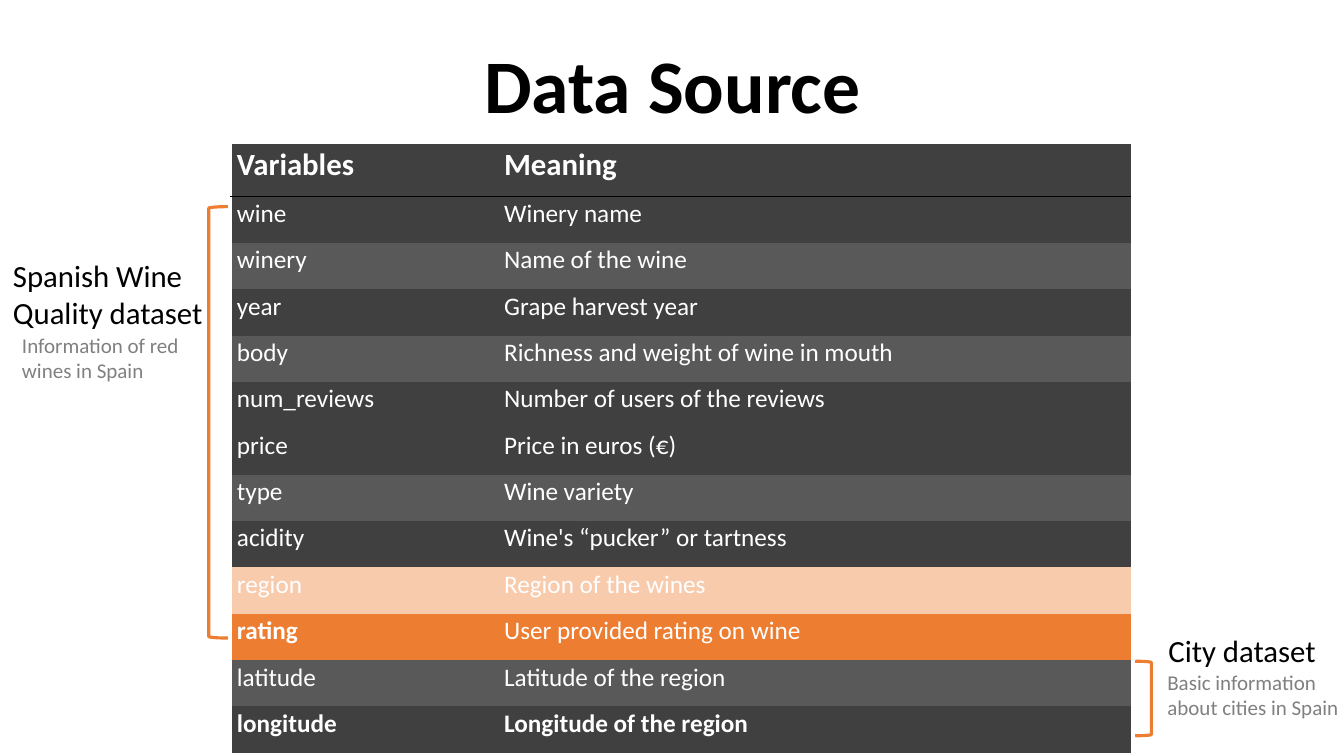
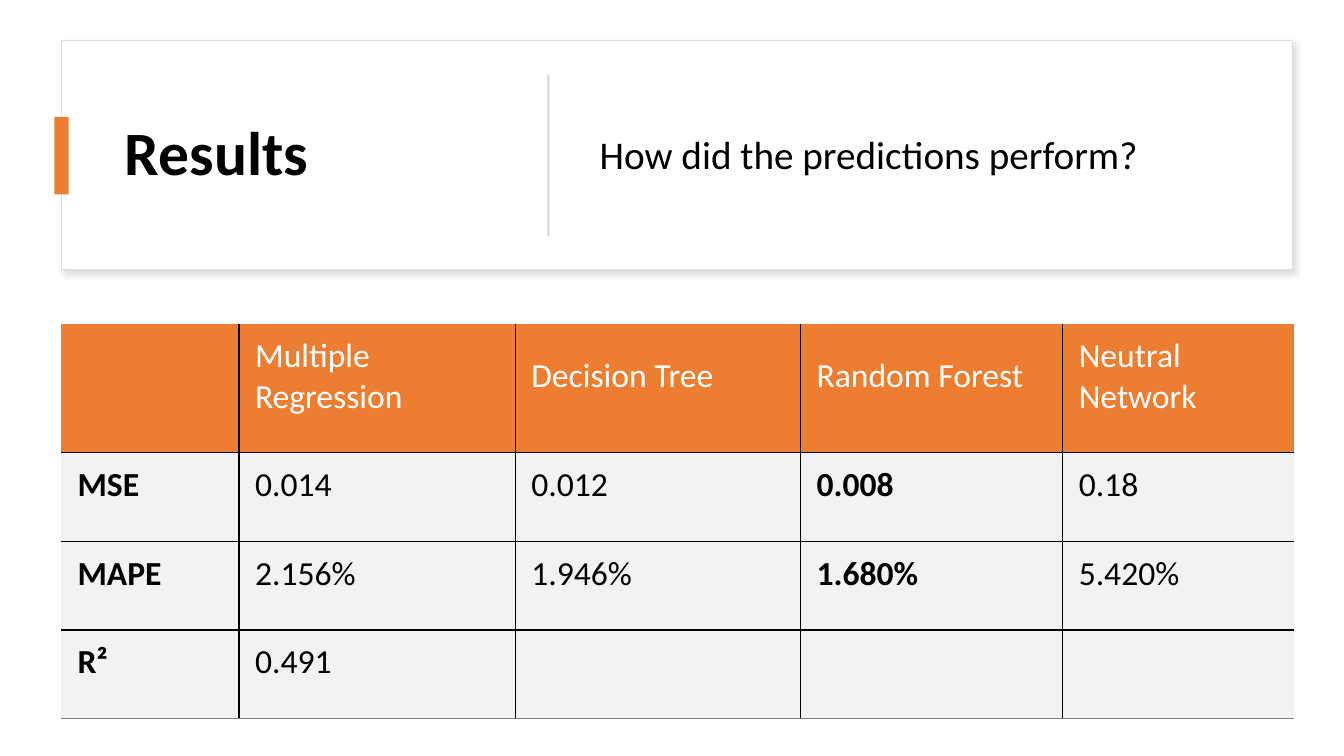
from dataclasses import dataclass

from lxml.etree import SubElement
from pptx import Presentation
from pptx.dml.color import RGBColor
from pptx.enum.shapes import MSO_SHAPE
from pptx.enum.text import MSO_ANCHOR, PP_ALIGN
from pptx.oxml import parse_xml
from pptx.oxml.ns import nsdecls, qn
from pptx.util import Inches, Pt


@dataclass(frozen=True)
class Theme:
    font: str = "Calibri"
    black: str = "000000"
    white: str = "FFFFFF"
    accent: str = "ED7D31"
    accent_light: str = "F8CBAD"
    dark: str = "404040"
    dark_band: str = "595959"
    pale: str = "F2F2F2"
    muted: str = "808080"
    card_line: str = "DEDEDE"
    divider: str = "D5D5D5"
    shadow: str = "C5C3C3"
    title: int = 54
    card_title: int = 44
    lead: int = 28
    metric: int = 24
    label: int = 22
    body: int = 18
    caption: int = 15


T = Theme()


def rgb(value):
    return RGBColor.from_string(value)


def set_attrs(target, values):
    for name, value in values.items():
        setattr(target, name, value)


class Deck:
    def __init__(self):
        self.prs = Presentation()
        set_attrs(self.prs, {"slide_width": Inches(13.33), "slide_height": Inches(7.5)})
        self.s = None

    def slide(self):
        self.s = self.prs.slides.add_slide(self.prs.slide_layouts[6])

    def add_run(self, p, text, size, color=T.black, bold=False):
        r = p.add_run()
        r.text = text
        set_attrs(r.font, {"name": T.font, "size": Pt(size), "bold": bold})
        r.font.color.rgb = rgb(color)

    def text(self, box, text, size, color=T.black, bold=False,
             anchor=MSO_ANCHOR.TOP, **paragraph):
        tf = self.s.shapes.add_textbox(*map(Inches, box)).text_frame
        set_attrs(tf, {"word_wrap": True, "vertical_anchor": anchor})
        p = tf.paragraphs[0]
        set_attrs(p, paragraph)
        self.add_run(p, text, size, color, bold)

    def shape(self, kind, box, fill=None, line=None, width=1.0):
        sp = self.s.shapes.add_shape(kind, *map(Inches, box))
        sp.shadow.inherit = False
        if fill:
            sp.fill.solid()
            sp.fill.fore_color.rgb = rgb(fill)
        else:
            sp.fill.background()
        if line:
            sp.line.color.rgb = rgb(line)
            sp.line.width = Pt(width)
        else:
            sp.line.fill.background()
        return sp

    def card(self, box):
        """Draw a white panel with a soft shadow to the lower right."""
        sp = self.shape(MSO_SHAPE.RECTANGLE, box, T.white, T.card_line)
        effects = sp._element.spPr.find(qn("a:effectLst"))
        effects.append(parse_xml(
            f'<a:outerShdw {nsdecls("a")} blurRad="{Pt(4)}" dist="{Pt(3)}" '
            f'dir="{45 * 60000}" algn="tl" rotWithShape="0">'
            f'<a:srgbClr val="{T.shadow}"><a:alpha val="50000"/></a:srgbClr>'
            '</a:outerShdw>'))

    def bracket(self, kind, box):
        self.shape(kind, box, line=T.accent, width=2.25)

    def borders(self, cell, sides):
        """Set all four sides; a side without a (colour, points) pair has no line."""
        tc_pr = cell._tc.get_or_add_tcPr()
        for side in "LRTB":
            color, width = sides.get(side, (None, 1))
            ln = SubElement(tc_pr, qn(f"a:ln{side}"), w=str(Pt(width)))
            if color:
                fill = SubElement(ln, qn("a:solidFill"))
                SubElement(fill, qn("a:srgbClr"), val=color)
            else:
                SubElement(ln, qn("a:noFill"))

    def table(self, origin, cols, heights, rows, insets, style, sides):
        """style(r, c) gives fill, anchor and font values; sides(r, c) the borders."""
        frame = self.s.shapes.add_table(
            len(rows), len(cols), *map(Inches, (*origin, sum(cols), sum(heights))))
        table = frame.table
        set_attrs(table, {"first_row": False, "horz_banding": False})
        for col, width in zip(table.columns, cols):
            col.width = Inches(width)
        for row, height in zip(table.rows, heights):
            row.height = Inches(height)
        names = ("margin_left", "margin_top", "margin_right", "margin_bottom")
        margins = dict(zip(names, map(Inches, insets)))
        for r, values in enumerate(rows):
            for c, value in enumerate(values):
                cell = table.cell(r, c)
                fill, anchor, font = style(r, c)
                set_attrs(cell, {**margins, "vertical_anchor": anchor})
                self.borders(cell, sides(r, c))
                cell.fill.solid()
                cell.fill.fore_color.rgb = rgb(fill)
                if value:
                    self.add_run(cell.text_frame.paragraphs[0], value, **font)


def data_source(deck):
    deck.slide()
    deck.text((0.92, 0.32, 11.5, 1.02), "Data Source", T.title, bold=True,
              anchor=MSO_ANCHOR.BOTTOM, alignment=PP_ALIGN.CENTER, line_spacing=0.9)

    variables = [
        ("Variables", "Meaning", T.dark),
        ("wine", "Winery name", T.dark),
        ("winery", "Name of the wine", T.dark_band),
        ("year", "Grape harvest year", T.dark),
        ("body", "Richness and weight of wine in mouth", T.dark_band),
        ("num_reviews", "Number of users of the reviews", T.dark),
        ("price", "Price in euros (€)", T.dark),
        ("type", "Wine variety", T.dark_band),
        ("acidity", "Wine's “pucker” or tartness", T.dark),
        ("region", "Region of the wines", T.accent_light),
        ("rating", "User provided rating on wine", T.accent),
        ("latitude", "Latitude of the region", T.dark_band),
        ("longitude", "Longitude of the region", T.dark),
    ]
    last = len(variables) - 1

    def style(r, c):
        bold = r in (0, last) or (variables[r][0] == "rating" and c == 0)
        anchor = MSO_ANCHOR.TOP if r else MSO_ANCHOR.BOTTOM
        size = T.body if r else T.label
        return variables[r][2], anchor, {"size": size, "color": T.white, "bold": bold}

    def sides(r, c):
        lines = {} if c else {"L": (T.white, 1)}
        if r < 2:
            lines["T" if r else "B"] = (T.black, 1)
        return lines

    deck.table((2.29, 1.43), (2.65, 6.28), [0.52] + [0.46] * last,
               [row[:2] for row in variables], (0.06, 0.02, 0.06, 0.13), style, sides)

    deck.bracket(MSO_SHAPE.LEFT_BRACKET, (2.07, 2.05, 0.19, 4.28))
    deck.bracket(MSO_SHAPE.RIGHT_BRACKET, (11.26, 6.56, 0.16, 0.74))
    for box, label in [((0.03, 2.5, 2.12, 0.84), "Spanish Wine Quality dataset"),
                       ((11.49, 6.22, 1.84, 0.47), "City dataset")]:
        deck.text(box, label, T.label)
    for box, caption in [((0.12, 3.25, 1.94, 0.61), "Information of red wines in Spain"),
                         ((11.48, 6.59, 1.94, 0.61),
                          "Basic information about cities in Spain")]:
        deck.text(box, caption, T.caption, T.muted)


def results(deck):
    deck.slide()
    deck.card((0.61, 0.4, 12.21, 2.28))
    deck.text((1.14, 0.64, 3.89, 1.8), "Results", T.card_title, bold=True,
              anchor=MSO_ANCHOR.MIDDLE, line_spacing=0.9)
    deck.shape(MSO_SHAPE.RECTANGLE, (0.54, 1.16, 0.14, 0.77), T.accent)
    deck.shape(MSO_SHAPE.RECTANGLE, (5.43, 0.74, 0.02, 1.6), T.divider)
    deck.text((5.85, 1.17, 6.56, 0.77), "How did the predictions perform?", T.lead,
              anchor=MSO_ANCHOR.MIDDLE, line_spacing=0.9)

    metrics = [
        ("", "Multiple Regression", "Decision Tree", "Random Forest", "Neutral Network"),
        ("MSE", "0.014", "0.012", "0.008", "0.18"),
        ("MAPE", "2.156%", "1.946%", "1.680%", "5.420%"),
        ("R²", "0.491", "", "", ""),
    ]
    cols = (1.76, 2.74, 2.83, 2.6, 2.29)
    last_row, last_col = len(metrics) - 1, len(cols) - 1
    best_col = 3

    def style(r, c):
        if r == 0:
            return T.accent, MSO_ANCHOR.MIDDLE, {"size": T.metric, "color": T.white}
        return T.pale, MSO_ANCHOR.TOP, {"size": T.metric, "bold": c in (0, best_col)}

    def sides(r, c):
        grid = (T.black, 1)
        lines = {"B": grid if r < last_row else (T.muted, 0.75)}
        inner = {"L": c > 0, "R": c < last_col, "T": r > 0}
        lines.update({side: grid for side, shown in inner.items() if shown})
        return lines

    deck.table((0.61, 3.21), cols, [1.28] + [0.88] * last_row, metrics,
               (0.16, 0.12, 0.23, 0.35), style, sides)


def main():
    deck = Deck()
    data_source(deck)
    results(deck)
    deck.prs.save("out.pptx")


if __name__ == "__main__":
    main()
